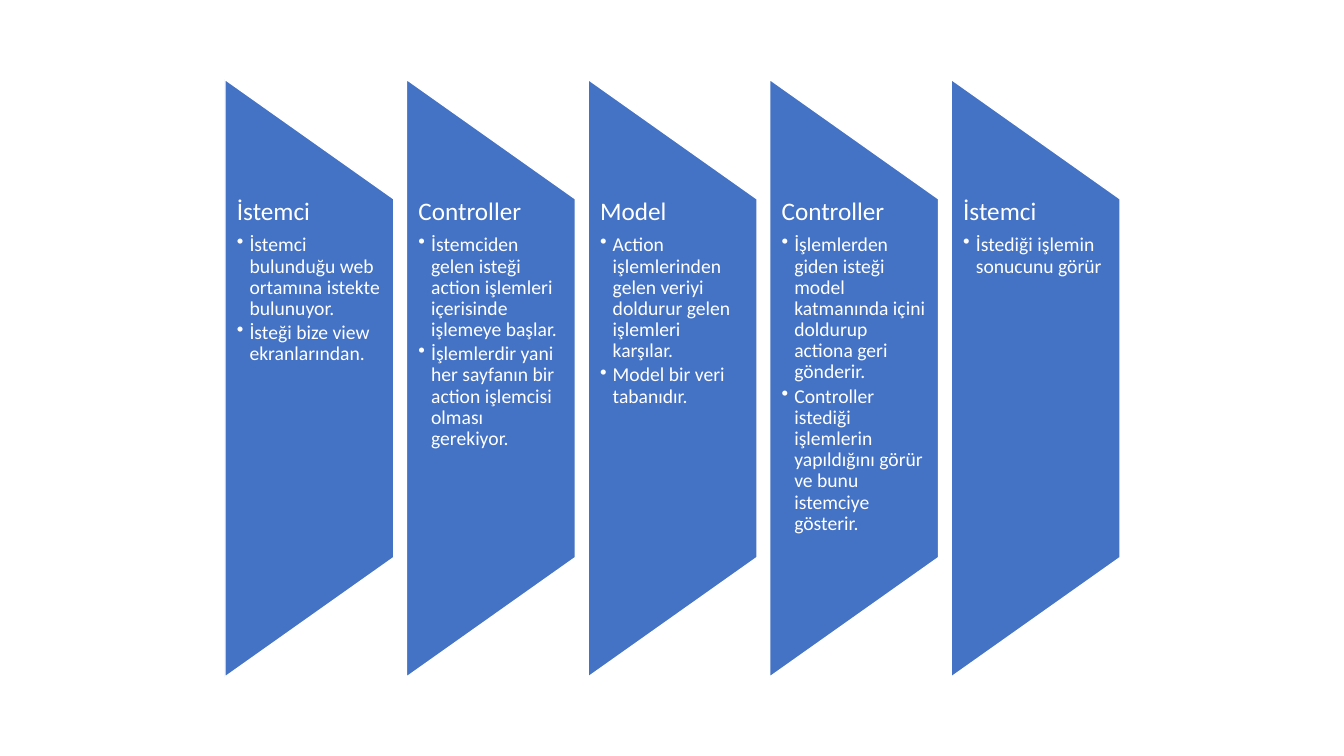
from lxml.etree import SubElement
from pptx import Presentation
from pptx.dml.color import RGBColor
from pptx.enum.shapes import MSO_SHAPE
from pptx.enum.text import MSO_ANCHOR, PP_ALIGN
from pptx.oxml.ns import qn
from pptx.util import Cm, Pt

BLUE = RGBColor(0x44, 0x72, 0xC4)
WHITE = RGBColor(0xFF, 0xFF, 0xFF)
FONT = "Calibri"

STEPS = [
    ("İstemci", ["İstemci bulunduğu web ortamına istekte bulunuyor.",
                 "İsteği bize view ekranlarından."]),
    ("Controller", ["İstemciden gelen isteği action işlemleri içerisinde "
                    "işlemeye başlar.",
                    "İşlemlerdir yani her sayfanın bir action işlemcisi "
                    "olması gerekiyor."]),
    ("Model", ["Action işlemlerinden gelen veriyi doldurur gelen işlemleri "
               "karşılar.",
               "Model bir veri tabanıdır."]),
    ("Controller", ["İşlemlerden giden isteği model katmanında içini "
                    "doldurup actiona geri gönderir.",
                    "Controller istediği işlemlerin yapıldığını görür ve "
                    "bunu istemciye gösterir."]),
    ("İstemci", ["İstediği işlemin sonucunu görür"]),
]


def write(para, text, size, after, bullet=False):
    """Fill one paragraph with white text, bulleted if asked."""
    run = para.add_run()
    run.text = text
    run.font.name, run.font.size = FONT, Pt(size)
    run.font.color.rgb = WHITE
    para.alignment = PP_ALIGN.LEFT
    para.line_spacing = 0.9
    para.space_after = Pt(after)
    if bullet:
        para.level = 1
        props = para._p.get_or_add_pPr()
        props.set("marL", str(Cm(0.32)))
        props.set("indent", str(-Cm(0.32)))
        SubElement(props, qn("a:buChar"), char="•")


def add_panel(slide, left, top, width, height):
    """Draw the blue panel, a flat shape turned to stand in its box."""
    shift = (height - width) / 2
    panel = slide.shapes.add_shape(
        MSO_SHAPE.FLOWCHART_MANUAL_OPERATION,
        Cm(left - shift), Cm(top + shift), Cm(height), Cm(width))
    panel.rotation = 270
    panel.shadow.inherit = False
    panel.fill.solid()
    panel.fill.fore_color.rgb = BLUE
    panel.line.color.rgb = WHITE
    panel.line.width = Pt(1)


def add_step(slide, head, items, left, top, width, height):
    """Place one step: its panel, and its text in the middle three fifths."""
    add_panel(slide, left, top, width, height)
    box = slide.shapes.add_textbox(
        Cm(left), Cm(top + height / 5), Cm(width), Cm(height * 3 / 5))
    frame = box.text_frame
    frame.word_wrap = True
    frame.vertical_anchor = MSO_ANCHOR.TOP
    frame.margin_left, frame.margin_right = Cm(0.3), Cm(0.32)
    frame.margin_top = frame.margin_bottom = 0
    write(frame.paragraphs[0], head, size=18, after=6.3)
    for item in items:
        write(frame.add_paragraph(), item, size=14, after=2.1, bullet=True)


def add_flow(slide, left, top, width, height, gap):
    """Spread the steps over the box in equal columns."""
    count = len(STEPS)
    col = (width - gap * (count - 1)) / count
    for i, (head, items) in enumerate(STEPS):
        add_step(slide, head, items, left + i * (col + gap), top, col, height)


deck = Presentation()
deck.slide_width, deck.slide_height = Cm(33.87), Cm(19.05)
blank = deck.slide_layouts[6]
page = deck.slides.add_slide(blank)
add_flow(page, left=5.67, top=2, width=22.56, height=15.06, gap=0.32)
deck.save("out.pptx")
